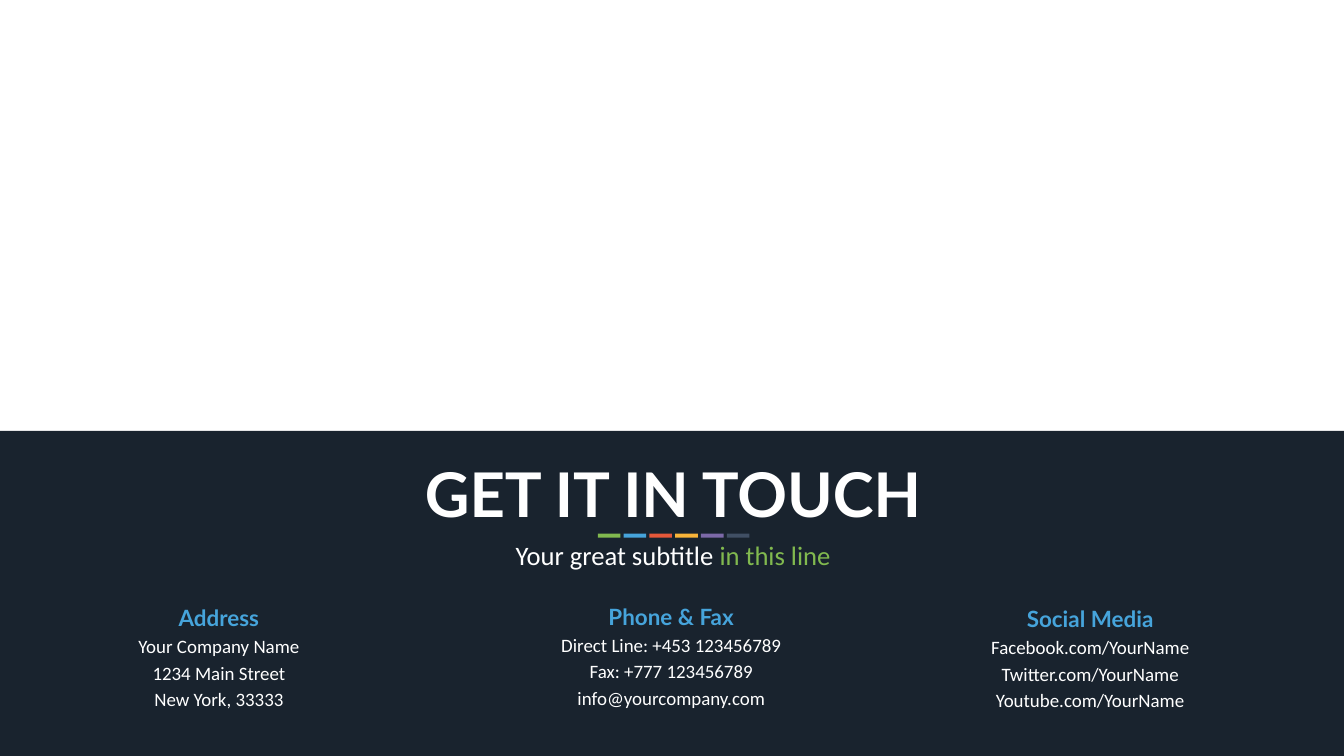
from dataclasses import dataclass

import pptx
import pptx.dml.color
import pptx.enum.shapes
import pptx.enum.text
import pptx.util

Cm, Pt = pptx.util.Cm, pptx.util.Pt

WHITE, NAVY, BLUE, GREEN = "FFFFFF", "19232E", "46A4DB", "81B94F"
STRIPE_COLORS = [GREEN, BLUE, "E5583A", "F9B439", "7C69A8", "404F64"]
STRIPE_LEFT, STRIPE_PITCH = 30.12, 1.3
SLIDE_WIDTH, SLIDE_HEIGHT, BAND_TOP = 67.72, 38.1, 21.72

HEADING = {"name": "Lato", "size": Pt(32), "bold": True}
DETAIL = {"name": "Calibri", "size": Pt(27), "bold": False}
TITLE = {"name": "Lato", "size": Pt(88), "bold": True}
SUBTITLE = {"name": "Calibri", "size": Pt(38), "bold": False}


@dataclass
class Box:
    """Place and size in centimetres."""
    left: float
    top: float
    width: float
    height: float

    def lengths(self) -> list:
        return [Cm(v) for v in (self.left, self.top, self.width, self.height)]


@dataclass
class Contact:
    left: float
    top: float
    heading: str
    details: list[str]


CONTACTS = [
    Contact(2.51, 30.12, "Address",
            ["Your Company Name", "1234 Main Street", "New York, 33333"]),
    Contact(25.3, 30.05, "Phone & Fax",
            ["Direct Line: +453 123456789", "Fax: +777 123456789",
             "info@yourcompany.com"]),
    Contact(46.41, 30.18, "Social Media",
            ["Facebook.com/YourName", "Twitter.com/YourName",
             "Youtube.com/YourName"]),
]


def rgb(color: str):
    return pptx.dml.color.RGBColor.from_string(color)


def add_rectangle(slide, box: Box, color: str):
    rectangle = slide.shapes.add_shape(
        pptx.enum.shapes.MSO_SHAPE.RECTANGLE, *box.lengths())
    rectangle.shadow.inherit = False
    rectangle.fill.solid()
    rectangle.fill.fore_color.rgb = rgb(color)
    rectangle.line.fill.background()
    return rectangle


def set_frame(frame, side: float = 0.25, edge: float = 0.13) -> None:
    settings = {
        "word_wrap": True,
        "auto_size": pptx.enum.text.MSO_AUTO_SIZE.NONE,
        "vertical_anchor": pptx.enum.text.MSO_ANCHOR.TOP,
        "margin_left": Cm(side), "margin_right": Cm(side),
        "margin_top": Cm(edge), "margin_bottom": Cm(edge),
    }
    for name, value in settings.items():
        setattr(frame, name, value)


def add_run(paragraph, text: str, style: dict, color: str) -> None:
    paragraph.alignment = pptx.enum.text.PP_ALIGN.CENTER
    run = paragraph.add_run()
    run.text = text
    for name, value in style.items():
        setattr(run.font, name, value)
    run.font.color.rgb = rgb(color)


def add_contact(slide, contact: Contact) -> None:
    box = Box(contact.left, contact.top, 17.04, 7.65)
    frame = slide.shapes.add_textbox(*box.lengths()).text_frame
    set_frame(frame, side=0.69, edge=0.33)
    add_run(frame.paragraphs[0], contact.heading, HEADING, BLUE)
    for detail in contact.details:
        paragraph = frame.add_paragraph()
        paragraph.space_before = Pt(5.4)
        add_run(paragraph, detail, DETAIL, WHITE)


def main() -> None:
    deck = pptx.Presentation()
    deck.slide_width, deck.slide_height = Cm(SLIDE_WIDTH), Cm(SLIDE_HEIGHT)
    slide = deck.slides.add_slide(deck.slide_layouts[5])

    # Title, with the dark band placed behind it
    title = slide.shapes.title
    title.left, title.top, title.width, title.height = Box(
        4.83, 22.83, 58.17, 4.01).lengths()
    set_frame(title.text_frame)
    add_run(title.text_frame.paragraphs[0], "GET IT IN TOUCH", TITLE, WHITE)
    band = add_rectangle(
        slide, Box(0, BAND_TOP, SLIDE_WIDTH, SLIDE_HEIGHT - BAND_TOP), NAVY)
    title._element.addprevious(band._element)

    # Contact columns
    for contact in CONTACTS:
        add_contact(slide, contact)

    # Colour stripes under the title
    for index, color in enumerate(STRIPE_COLORS):
        left = STRIPE_LEFT + index * STRIPE_PITCH
        add_rectangle(slide, Box(left, 26.9, 1.14, 0.2), color)

    # Subtitle
    subtitle = slide.shapes.add_textbox(
        *Box(4.83, 27.05, 58.17, 1.88).lengths()).text_frame
    set_frame(subtitle)
    add_run(subtitle.paragraphs[0], "Your great subtitle ", SUBTITLE, WHITE)
    add_run(subtitle.paragraphs[0], "in this line", SUBTITLE, GREEN)

    deck.save("out.pptx")


if __name__ == "__main__":
    main()
